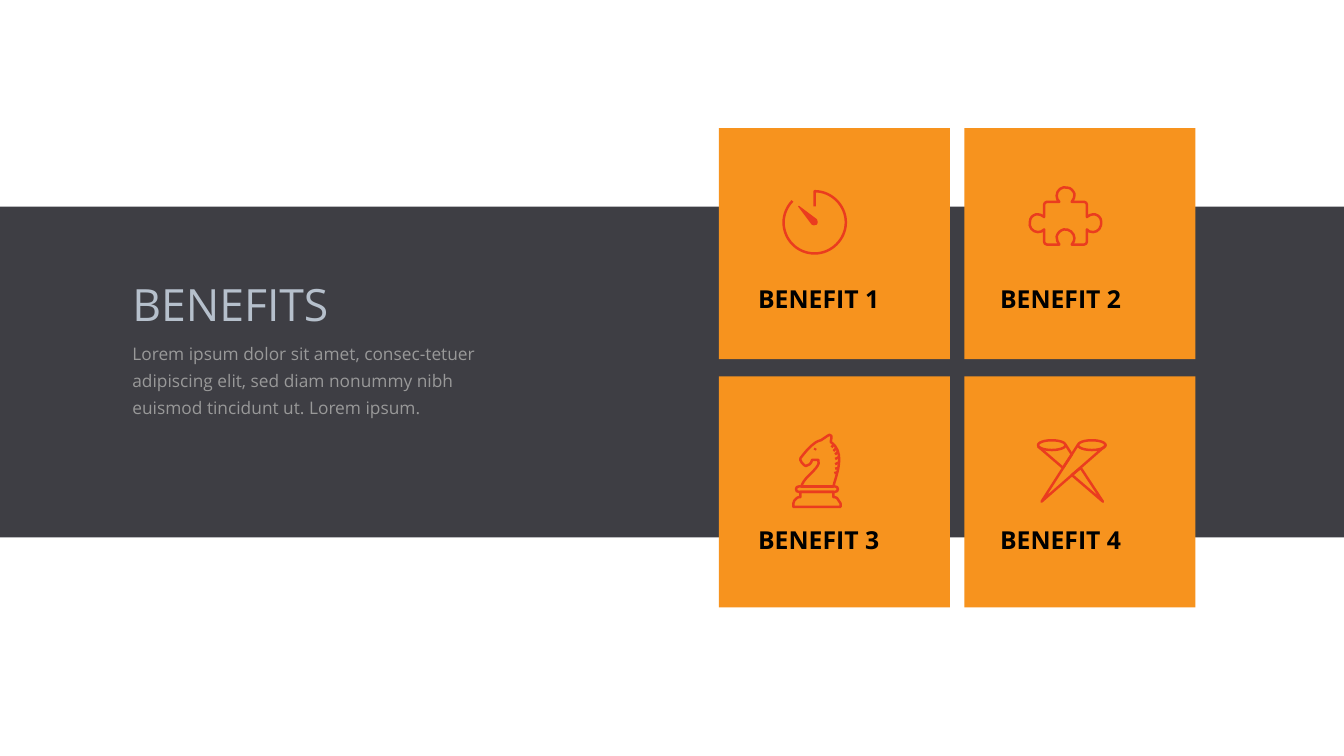
from lxml import etree
from pptx import Presentation
from pptx.dml.color import RGBColor
from pptx.enum.shapes import MSO_CONNECTOR, MSO_SHAPE
from pptx.enum.text import MSO_ANCHOR, MSO_AUTO_SIZE, PP_ALIGN
from pptx.oxml.ns import qn
from pptx.util import Cm, Pt

RECTANGLE, OVAL = MSO_SHAPE.RECTANGLE, MSO_SHAPE.OVAL
STRAIGHT = MSO_CONNECTOR.STRAIGHT
TOP, LEFT, FIXED = MSO_ANCHOR.TOP, PP_ALIGN.LEFT, MSO_AUTO_SIZE.NONE

FONT = "Open Sans"
CHARCOAL = RGBColor(0x3E, 0x3E, 0x44)
ORANGE = RGBColor(0xF7, 0x93, 0x1E)
RED = RGBColor(0xEA, 0x3C, 0x1F)
MIST = RGBColor(0xB6, 0xC0, 0xCC)
GREY = RGBColor(0x99, 0x99, 0x99)
BLACK = RGBColor(0, 0, 0)

HEADING = "BENEFITS"
SUMMARY = ("Lorem ipsum dolor sit amet, consec-tetuer adipiscing elit, "
           "sed diam nonummy nibh euismod tincidunt ut. Lorem ipsum.")
BENEFITS = ["BENEFIT 1", "BENEFIT 2", "BENEFIT 3", "BENEFIT 4"]
SLIDE_WIDTH, SLIDE_HEIGHT = 38.38, 21.59
CARD_SIZE = 6.6

UNIT = Cm(2.54) / 100  # icon coordinates are hundredths of an inch

# An outline holds corners (x, y) and Bezier curves (x1, y1, x2, y2, x, y).
DIAL = [(891, 226), (885, 232, 881, 241, 881, 250), (881, 269, 896, 285, 916, 285),
        (935, 285, 951, 269, 951, 250), (951, 231, 935, 215, 916, 215), (916, 232)]
NEEDLE = [(918, 252), (916, 253, 914, 253, 913, 252), (898, 232), (918, 247),
          (919, 249, 919, 251, 918, 252)]
PUZZLE = [
    (1231, 241), (1227, 241, 1224, 242, 1222, 244), (1222, 230),
    (1222, 229, 1221, 227, 1219, 227), (1205, 227), (1207, 225, 1208, 222, 1208, 218),
    (1207, 215, 1204, 211, 1200, 211), (1194, 209, 1188, 214, 1188, 220),
    (1188, 223, 1189, 225, 1191, 227), (1177, 227), (1175, 227, 1174, 229, 1174, 230),
    (1174, 244), (1172, 242, 1169, 241, 1165, 241), (1161, 242, 1158, 245, 1158, 249),
    (1156, 255, 1161, 261, 1167, 261), (1170, 261, 1172, 260, 1174, 258), (1174, 272),
    (1174, 273, 1175, 275, 1177, 275), (1191, 275), (1189, 273, 1188, 269, 1188, 266),
    (1189, 262, 1192, 259, 1196, 258), (1202, 257, 1208, 262, 1208, 268),
    (1208, 270, 1207, 273, 1205, 275), (1219, 275), (1221, 275, 1222, 273, 1222, 272),
    (1222, 258), (1223, 260, 1226, 261, 1229, 261), (1235, 261, 1239, 255, 1238, 249),
    (1238, 245, 1235, 242, 1231, 241),
]
HORSE = [
    (906, 524), (909, 523, 912, 522, 913, 517), (915, 517, 918, 517, 920, 517),
    (923, 522, 915, 529, 909, 535), (905, 539, 902, 543, 901, 547), (937, 547),
    (937, 546, 938, 545, 938, 543), (943, 527, 949, 507, 934, 497),
    (937, 483, 931, 490, 923, 495), (923, 495, 918, 496, 915, 499),
    (908, 504, 901, 514, 900, 515), (898, 517, 904, 524, 906, 524),
]
COLLAR = [
    (939, 553), (898, 553), (896, 553, 895, 552, 895, 550), (895, 548, 896, 547, 898, 547),
    (939, 547), (941, 547, 942, 548, 942, 550), (942, 552, 941, 553, 939, 553),
]
PEDESTAL = [
    (943, 563), (941, 560), (940, 559, 938, 559, 937, 559), (937, 553), (900, 553),
    (900, 559), (898, 559, 897, 559, 896, 560), (893, 563), (892, 564, 892, 565, 892, 566),
    (892, 570), (945, 570), (945, 566), (945, 565, 944, 564, 943, 563),
]
EYE_AND_MANE = [
    (917, 504, 916, 506), (937, 500, 935, 503), (940, 504, 937, 507), (942, 508, 939, 511),
    (943, 514, 939, 516), (943, 520, 939, 522), (943, 526, 939, 527), (941, 531, 938, 532),
]
TORCH_ENDS = [(1205, 534), (1240, 564), (1215, 526)]
TORCH_BACK = [(1167, 502), (1195, 526), (1205, 511), (1198, 500)]
TORCH_FRONT = [(1242, 502), (1171, 564), (1212, 500)]
TORCH_RIMS = [(1212, 495, 31, 11), (1167, 495, 31, 11)]

# Each icon: outlines (points, closed, filled), ovals, straight strokes
ICONS = [
    ([(DIAL, False, False), (NEEDLE, True, True)], [], []),
    ([(PUZZLE, True, False)], [], []),
    ([(COLLAR, True, False), (HORSE, True, False), (PEDESTAL, True, False)], [], EYE_AND_MANE),
    ([(TORCH_ENDS, True, False), (TORCH_BACK, False, False), (TORCH_FRONT, False, False)],
     TORCH_RIMS, []),
]


def scaled(values):
    return [round(value * UNIT) for value in values]


def add_outline(shapes, outline, closed):
    """Draw the outline by its end points, then bend the steps that are curves."""
    ends = [scaled(step[-2:]) for step in outline]
    builder = shapes.build_freeform(*ends[0])
    builder.add_line_segments(ends[1:], close=closed)
    part = builder.convert_to_shape()
    segments = list(part._element.iter(qn("a:lnTo")))
    for step, segment in zip(outline[1:], segments):
        if len(step) == 6:
            segment.tag = qn("a:cubicBezTo")
            x1, y1, x2, y2 = scaled(step[:4])
            for position, (x, y) in enumerate([(x1, y1), (x2, y2)]):
                control = etree.Element(qn("a:pt"), x=str(x - part.left), y=str(y - part.top))
                segment.insert(position, control)
    return part


def stroke(part, width=2):
    part.line.color.rgb = RED
    part.line.width = Pt(width)


def draw_icon(slide, outlines, ovals, strokes):
    single = len(outlines) == 1
    shapes = slide.shapes if single else slide.shapes.add_group_shape().shapes
    for outline, closed, filled in outlines:
        part = add_outline(shapes, outline, closed)
        part.shadow.inherit = False
        if filled:
            part.fill.solid()
            part.fill.fore_color.rgb = RED
        else:
            part.fill.background()
        stroke(part, 1 if filled else 2)
    for frame in ovals:
        part = shapes.add_shape(OVAL, *scaled(frame))
        part.shadow.inherit = False
        part.fill.background()
        stroke(part)
    for ends in strokes:
        part = shapes.add_connector(STRAIGHT, *scaled(ends))
        stroke(part)
        etree.SubElement(part._element.spPr, qn("a:effectLst"))


def add_block(slide, color, *frame):
    block = slide.shapes.add_shape(RECTANGLE, *map(Cm, frame))
    block.shadow.inherit = False
    block.fill.solid()
    block.fill.fore_color.rgb = color
    block.line.fill.background()
    return block


def write(holder, text, frame, size, color, spacing, bold=False, insets=(0, 0)):
    holder.left, holder.top, holder.width, holder.height = map(Cm, frame)
    body = holder.text_frame
    body.word_wrap = True
    body.auto_size = FIXED
    body.vertical_anchor = TOP
    body.margin_left = body.margin_right = Cm(insets[0])
    body.margin_top = body.margin_bottom = Cm(insets[1])
    paragraph = body.paragraphs[0]
    properties = paragraph._p.get_or_add_pPr()
    properties.set("marL", "0")
    properties.set("indent", "0")
    etree.SubElement(properties, qn("a:buNone"))
    paragraph.alignment = LEFT
    paragraph.line_spacing = spacing
    paragraph.space_before = Pt(0)
    run = paragraph.add_run()
    run.text = text
    run.font.name = FONT
    run.font.size = Pt(size)
    run.font.bold = bold
    run.font.color.rgb = color


def main():
    deck = Presentation()
    deck.slide_width, deck.slide_height = Cm(SLIDE_WIDTH), Cm(SLIDE_HEIGHT)
    slide = deck.slides.add_slide(deck.slide_layouts[1])

    band = add_block(slide, CHARCOAL, 0, 5.9, SLIDE_WIDTH, 9.45)
    slide.shapes._spTree.insert(2, band._element)  # behind the placeholders
    write(slide.shapes.title, HEADING, (3.78, 8.03, 10.82, 1.14), 36, MIST, 0.94)
    write(slide.placeholders[1], SUMMARY, (3.53, 9.5, 10.69, 4.24), 14, GREY, 1.3,
          insets=(0.25, 0.13))

    for index, (benefit, icon) in enumerate(zip(BENEFITS, ICONS)):
        row, column = divmod(index, 2)
        add_block(slide, ORANGE, 20.53 + 7.01 * column, 3.66 + 7.09 * row, CARD_SIZE, CARD_SIZE)
        label = slide.shapes.add_textbox(0, 0, 0, 0)
        write(label, benefit, (21.65 + 6.91 * column, 8.03 + 6.88 * row, 4.39, 0.86),
              20, BLACK, 1.1, bold=True)
        draw_icon(slide, *icon)

    deck.save("out.pptx")


if __name__ == "__main__":
    main()
